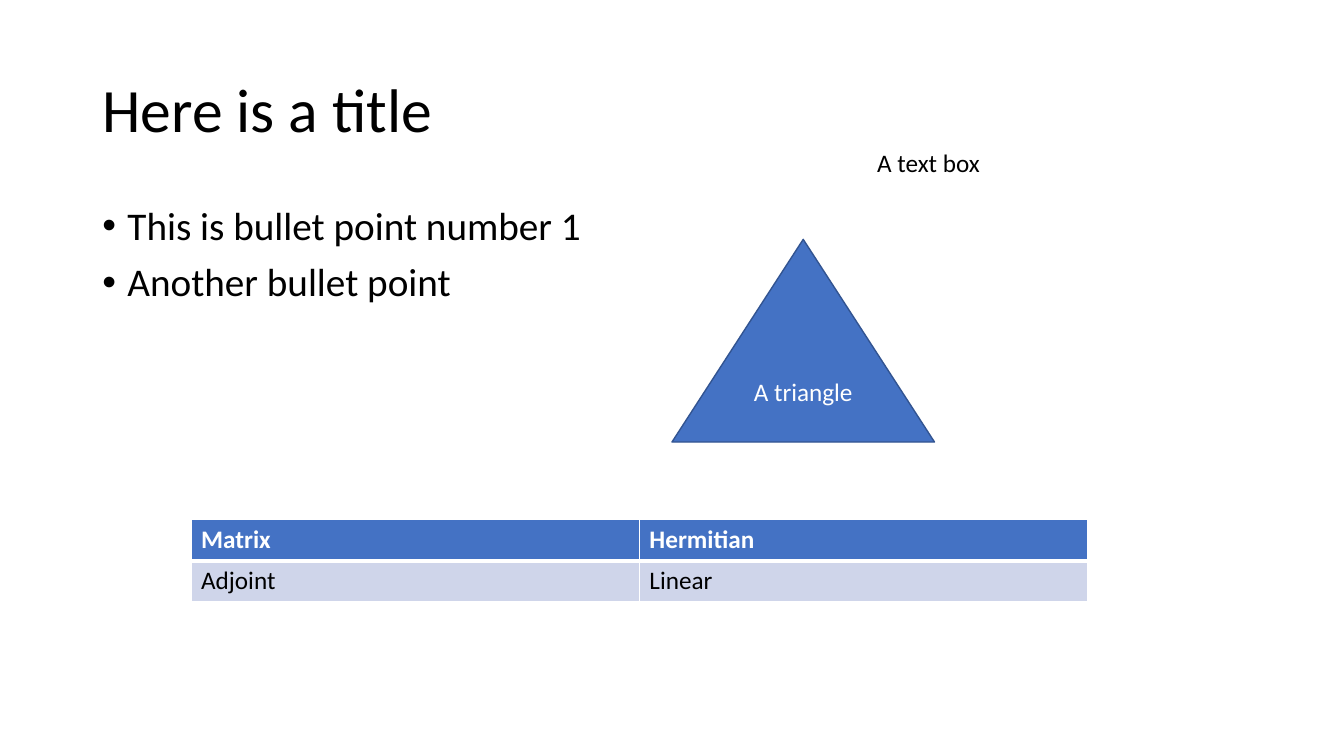
from dataclasses import dataclass

from lxml import etree
from pptx import Presentation
from pptx.dml.color import RGBColor
from pptx.enum import shapes, text
from pptx.oxml.ns import qn
from pptx.util import Emu, Pt

PX = 9525  # EMU in one px, 96 px to the inch


@dataclass(frozen=True)
class Theme:
    font: str = "Calibri"
    black: str = "000000"
    white: str = "FFFFFF"
    blue: str = "4472C4"
    outline: str = "325491"
    band: str = "CFD5EA"
    title: int = 44
    bullet: int = 28
    normal: int = 18


THEME = Theme()


def px(*lengths):
    return [Emu(length * PX) for length in lengths]


def set_all(target, values):
    for name, value in values.items():
        setattr(target, name, value)


def write(para, words, size, color, bold=False, **layout):
    """Put one styled span into a paragraph."""
    set_all(para, layout)
    span = para.add_run()
    span.text = words
    set_all(span.font, {"name": THEME.font, "size": Pt(size), "bold": bold})
    span.font.color.rgb = RGBColor.from_string(color)


def add_text(page, place, lines, size, frame=None, bullets=False, **layout):
    box = page.shapes.add_textbox(*px(*place))
    set_all(box.text_frame, {"word_wrap": True, **(frame or {})})
    for index, words in enumerate(lines):
        para = box.text_frame.add_paragraph() if index else box.text_frame.paragraphs[0]
        write(para, words, size, THEME.black, **layout)
        if bullets:
            add_bullet(para)


def add_bullet(para):
    properties = para._p.get_or_add_pPr()
    properties.set("marL", str(24 * PX))
    properties.set("indent", str(-24 * PX))
    etree.SubElement(properties, qn("a:buFont"), typeface="Arial")
    etree.SubElement(properties, qn("a:buChar"), char="•")


def add_triangle(page, place, words):
    triangle = page.shapes.add_shape(shapes.MSO_SHAPE.ISOSCELES_TRIANGLE, *px(*place))
    triangle.shadow.inherit = False
    triangle.fill.solid()
    triangle.fill.fore_color.rgb = RGBColor.from_string(THEME.blue)
    triangle.line.color.rgb = RGBColor.from_string(THEME.outline)
    triangle.line.width = Pt(1)
    triangle.text_frame.vertical_anchor = text.MSO_ANCHOR.MIDDLE
    write(triangle.text_frame.paragraphs[0], words, THEME.normal, THEME.white,
          alignment=text.PP_ALIGN.CENTER)


def add_borders(cell, widths):
    properties = cell._tc.get_or_add_tcPr()
    for side, width in widths.items():
        line = etree.SubElement(properties, qn(f"a:ln{side}"), w=str(Pt(width)))
        fill = etree.SubElement(line, qn("a:solidFill"))
        etree.SubElement(fill, qn("a:srgbClr"), val=THEME.white)


def add_grid(page, place, rows):
    frame = page.shapes.add_table(len(rows), len(rows[0]), *px(*place))
    for row_index, row in enumerate(rows):
        header = row_index == 0
        for column_index, words in enumerate(row):
            cell = frame.table.cell(row_index, column_index)
            # A thick rule parts the header from the row below
            add_borders(cell, {"L": 1, "R": 1, "T": 1 if header else 3, "B": 3 if header else 1})
            cell.fill.solid()
            cell.fill.fore_color.rgb = RGBColor.from_string(THEME.blue if header else THEME.band)
            write(cell.text_frame.paragraphs[0], words, THEME.normal,
                  THEME.white if header else THEME.black, bold=header)


def main():
    deck = Presentation()
    deck.slide_width, deck.slide_height = px(1280, 720)
    page = deck.slides.add_slide(deck.slide_layouts[6])

    # Title and bullet points
    add_text(page, (88, 38, 1104, 139), ["Here is a title"], THEME.title,
             {"vertical_anchor": text.MSO_ANCHOR.MIDDLE}, line_spacing=0.9)
    add_text(page, (88, 192, 1104, 457),
             ["This is bullet point number 1", "Another bullet point"], THEME.bullet,
             bullets=True, line_spacing=0.9, space_before=Pt(10))

    # Text box and triangle
    add_text(page, (826, 136, 118, 39), ["A text box"], THEME.normal,
             {"word_wrap": False, "auto_size": text.MSO_AUTO_SIZE.SHAPE_TO_FIT_TEXT})
    add_triangle(page, (640, 228, 250, 193), "A triangle")

    # Table
    add_grid(page, (182, 495, 854, 78), [["Matrix", "Hermitian"], ["Adjoint", "Linear"]])

    deck.save("out.pptx")


if __name__ == "__main__":
    main()
